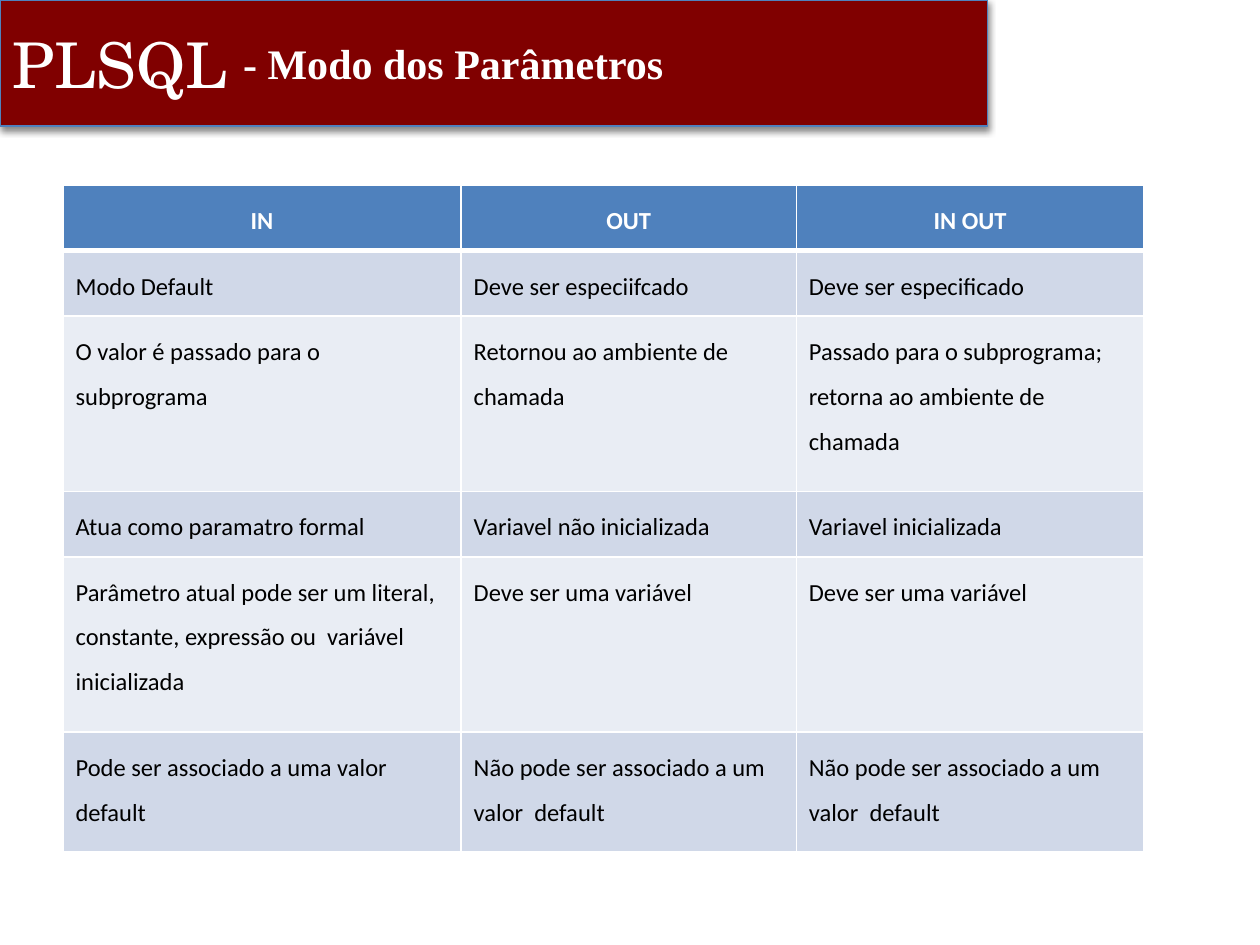
from lxml import etree
from pptx import Presentation
from pptx.dml.color import RGBColor
from pptx.enum import shapes, text
from pptx.oxml import ns
from pptx.util import Inches, Pt

COLORS = {
    "banner": "800000",
    "header": "4F81BD",
    "odd": "D0D8E8",
    "even": "E9EDF4",
    "white": "FFFFFF",
    "black": "000000",
}
COLUMN_WIDTHS = [3.16, 2.66, 2.76]
ROW_HEIGHTS = [0.52, 0.52, 1.39, 0.52, 1.39, 0.95]
MODES = [
    ["IN", "OUT", "IN OUT"],
    ["Modo Default", "Deve ser especiifcado", "Deve ser especificado"],
    ["O valor é passado para o subprograma",
     "Retornou ao ambiente de chamada",
     "Passado para o subprograma; retorna ao ambiente de chamada"],
    ["Atua como paramatro formal", "Variavel não inicializada",
     "Variavel inicializada"],
    ["Parâmetro atual pode ser um literal, constante, expressão ou  variável inicializada",
     "Deve ser uma variável", "Deve ser uma variável"],
    ["Pode ser associado a uma valor default",
     "Não pode ser associado a um valor  default",
     "Não pode ser associado a um valor  default"],
]


def rgb(name):
    return RGBColor.from_string(COLORS[name])


def paint(part, color):
    part.solid()
    part.fore_color.rgb = rgb(color)


def style_text(frame, font_name, size, color, bold=False,
               align=text.PP_ALIGN.LEFT, spacing=None):
    paragraph = frame.paragraphs[0]
    paragraph.alignment = align
    paragraph.line_spacing = spacing
    font = paragraph.runs[0].font
    font.name, font.size, font.bold = font_name, Pt(size), bold
    font.color.rgb = rgb(color)


def add_child(parent, tag, **attributes):
    child = etree.SubElement(parent, ns.qn(tag))
    for key, value in attributes.items():
        child.set(key, str(value))
    return child


def add_banner(slide):
    banner = slide.shapes.add_shape(
        shapes.MSO_SHAPE.RECTANGLE, 0, 0, Inches(7.84), Inches(1))
    paint(banner.fill, "banner")
    banner.line.color.rgb = rgb("header")
    banner.line.width = Pt(0.75)
    banner.shadow.inherit = False
    effects = banner._element.spPr.find(ns.qn("a:effectLst"))
    shadow = add_child(effects, "a:outerShdw", blurRad=Pt(4), dist=Pt(2),
                       dir=90 * 60000, rotWithShape=0)
    shadow_color = add_child(shadow, "a:srgbClr", val=COLORS["black"])
    add_child(shadow_color, "a:alpha", val=45000)
    banner.text_frame.text = "PLSQL"
    banner.text_frame.vertical_anchor = text.MSO_ANCHOR.MIDDLE
    style_text(banner.text_frame, "TeX Gyre Schola", 36, "white")
    slide.shapes._spTree.insert(2, banner._element)


def set_title(slide):
    title = slide.shapes.title
    title.left, title.top = Inches(1.83), Inches(0.25)
    title.width, title.height = Inches(9), Inches(0.67)
    title.text_frame.text = "- Modo dos Parâmetros"
    title.text_frame.vertical_anchor = text.MSO_ANCHOR.TOP
    title.text_frame.auto_size = text.MSO_AUTO_SIZE.NONE
    style_text(title.text_frame, "Times New Roman", 24, "white", bold=True)


def set_borders(cell, row):
    properties = cell._tc.get_or_add_tcPr()
    widths = {"L": 1, "R": 1, "T": 3 if row == 1 else 1, "B": 3 if row == 0 else 1}
    for position, (side, width) in enumerate(widths.items()):
        border = add_child(properties, f"a:ln{side}", w=Pt(width))
        border_fill = add_child(border, "a:solidFill")
        add_child(border_fill, "a:srgbClr", val=COLORS["white"])
        properties.insert(position, border)


def fill_cell(cell, wording, row):
    cell.text_frame.text = wording
    if row == 0:
        paint(cell.fill, "header")
        style_text(cell.text_frame, "Calibri", 14, "white", bold=True,
                   align=text.PP_ALIGN.CENTER, spacing=1.5)
    else:
        paint(cell.fill, "odd" if row % 2 else "even")
        style_text(cell.text_frame, "Calibri", 14, "black", spacing=1.5)
    set_borders(cell, row)


def add_modes_table(slide):
    table = slide.shapes.add_table(
        len(ROW_HEIGHTS), len(COLUMN_WIDTHS), Inches(0.5), Inches(1.47),
        Inches(sum(COLUMN_WIDTHS)), Inches(sum(ROW_HEIGHTS))).table
    for column, width in zip(table.columns, COLUMN_WIDTHS):
        column.width = Inches(width)
    for row, (height, wordings) in enumerate(zip(ROW_HEIGHTS, MODES)):
        table.rows[row].height = Inches(height)
        for column, wording in enumerate(wordings):
            fill_cell(table.cell(row, column), wording, row)


def main():
    deck = Presentation()
    deck.slide_width, deck.slide_height = Inches(10), Inches(7.5)
    slide = deck.slides.add_slide(deck.slide_layouts[5])
    add_banner(slide)
    set_title(slide)
    add_modes_table(slide)
    deck.save("out.pptx")


if __name__ == "__main__":
    main()
